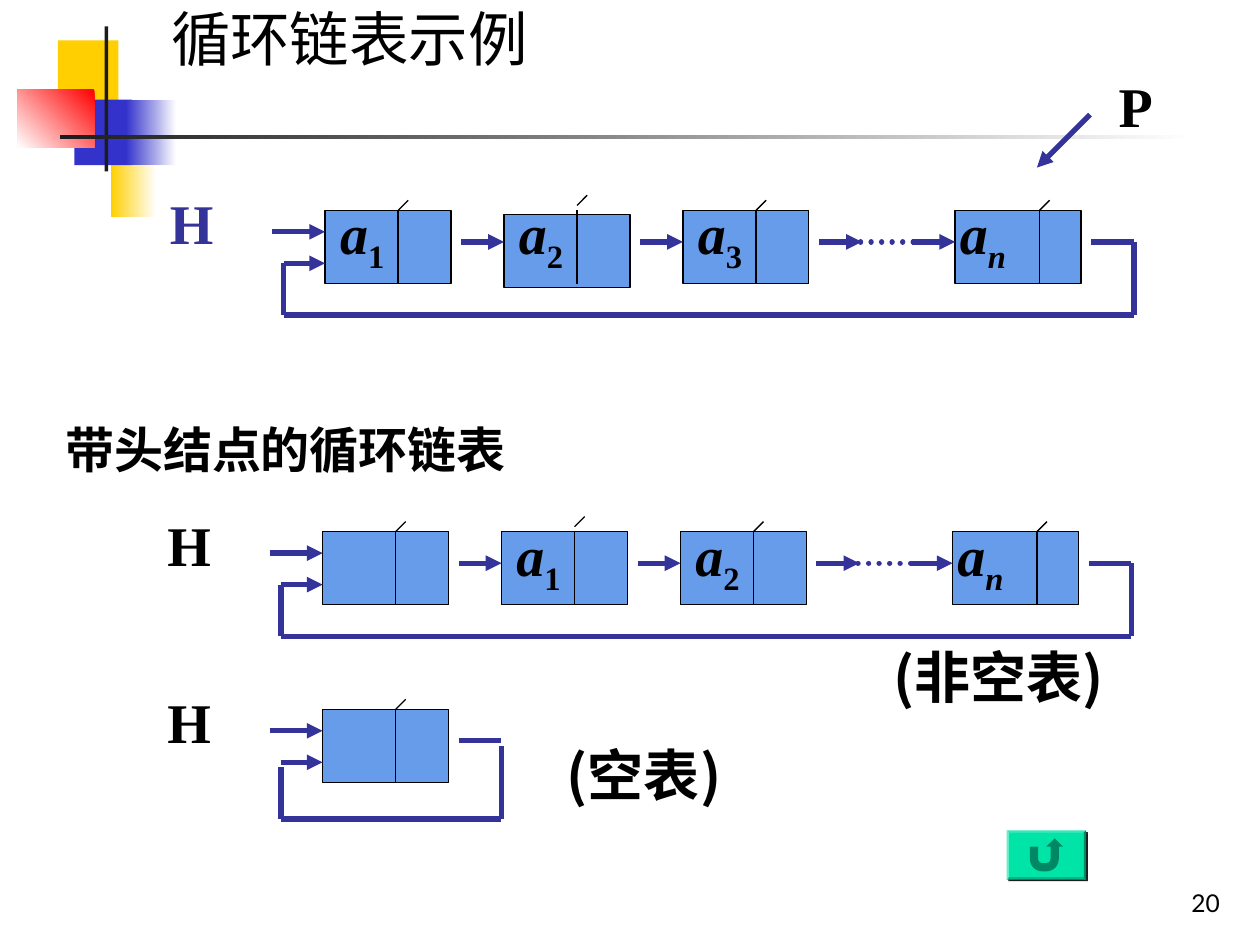
from lxml import etree
from pptx import Presentation
from pptx.dml.color import RGBColor
from pptx.enum.dml import MSO_LINE
from pptx.enum.shapes import MSO_CONNECTOR, MSO_SHAPE
from pptx.enum.text import MSO_ANCHOR, MSO_AUTO_SIZE, PP_ALIGN
from pptx.oxml.ns import qn
from pptx.util import Inches, Pt

RECT = MSO_SHAPE.RECTANGLE
BEVEL = MSO_SHAPE.BEVEL
RETURN_BUTTON = MSO_SHAPE.ACTION_BUTTON_RETURN
STRAIGHT = MSO_CONNECTOR.STRAIGHT
DOTS = MSO_LINE.ROUND_DOT
BOTTOM, TOP = MSO_ANCHOR.BOTTOM, MSO_ANCHOR.TOP
LEFT, RIGHT = PP_ALIGN.LEFT, PP_ALIGN.RIGHT
FIT, FIXED = MSO_AUTO_SIZE.SHAPE_TO_FIT_TEXT, MSO_AUTO_SIZE.NONE

BLACK, INK, ARROW, NODE, GREEN = "000000", "1C1C1C", "333399", "679CEB", "00E4A8"
SERIF, SANS, CJK = "Times New Roman", "Lato", "Noto Sans CJK SC"

DECORATION = [
    ((0.46, 0.32, 0.48, 0.52), ["FFCF01"], 0),
    ((0.88, 1.2, 0.36, 0.52), ["FFFFFF", "FFCF01"], 180),
    ((0.59, 0.79, 0.46, 0.52), ["3333CC"], 0),
    ((1, 0.79, 0.4, 0.52), ["FFFFFF", "3333CC"], 180),
    ((0.14, 0.71, 0.61, 0.46), ["FF0000", "FFFFFF"], 225),
    ((0.83, 0.21, 0.03, 1.15), [INK], 0),
    ((0.48, 1.07, 9, 0.03), ["FFFFFF", INK], 180),
]

BOLD = {"size": Pt(32), "name": SERIF, "bold": True}
CAPTION = {"size": Pt(32), "name": CJK, "bold": True}
TEXTS = [
    ("循环链表示例", (1.26, 0.23, 8.52, 0.4), {"size": Pt(34), "name": SANS}, BOTTOM, LEFT, True),
    ("带头结点的循环链表", (0.42, 3.28, 9, 0.66),
     {"size": Pt(28), "name": SANS, "bold": True}, TOP, LEFT, True),
    ("(空表)", (4.4, 5.83, 1.75, 0.64), CAPTION, TOP, LEFT, False),
    ("(非空表)", (6.99, 5.05, 2.19, 0.64), CAPTION, TOP, LEFT, False),
    ("P", (8.78, 0.52, 0.52, 0.64), BOLD, TOP, LEFT, False),
    ("20", (7.7, 6.83, 2.08, 0.5), {"size": Pt(14), "name": SANS}, BOTTOM, RIGHT, True),
]

LISTS = [
    {"x": 2.58, "y": 1.67, "nodes": ["1", "2", "3", "n"], "head": ARROW, "drop": 0.03, "sag": 0},
    {"x": 2.56, "y": 4.22, "nodes": ["", "1", "2", "n"], "head": BLACK, "drop": 0, "sag": 0},
    {"x": 2.56, "y": 5.63, "nodes": [""], "head": BLACK, "drop": 0, "sag": 0.04},
]
NODE_W, NODE_H, LINK, GAP = 1, 0.58, 0.34, 0.08
LABEL_W, LABEL_H = 0.65, 0.71
PITCH = NODE_W + GAP + LINK
LAST_X = 5
LINK_Y, HEAD_Y, RETURN_Y, LOOP_Y = 0.25, 0.17, 0.42, 0.83
BUTTON, RIM = (7.99, 6.59, 0.63, 0.39), 0.02

prs = Presentation()
prs.slide_width, prs.slide_height = Inches(10), Inches(7.5)
slide = prs.slides.add_slide(prs.slide_layouts[6])


def rgb(value):
    return RGBColor.from_string(value)


def add_block(kind, box, colors, angle=0, outline=None):
    block = slide.shapes.add_shape(kind, *map(Inches, box))
    block.shadow.inherit = False
    if len(colors) == 1:
        block.fill.solid()
        block.fill.fore_color.rgb = rgb(colors[0])
    else:
        block.fill.gradient()
        block.fill.gradient_angle = angle
        for stop, color, position in zip(block.fill.gradient_stops, colors, (0, 1)):
            stop.color.rgb = rgb(color)
            stop.position = position
    if outline:
        block.line.color.rgb = rgb(outline)
        block.line.width = Pt(0.75)
    else:
        block.line.fill.background()
    return block


def add_line(x1, y1, x2, y2, color=ARROW, width=3, arrow=False, dotted=False):
    line = slide.shapes.add_connector(STRAIGHT, *map(Inches, (x1, y1, x2, y2)))
    line.line.color.rgb = rgb(color)
    line.line.width = Pt(width)
    stroke = line.line._get_or_add_ln()
    if dotted:
        line.line.dash_style = DOTS
        stroke.set("cap", "rnd")
    if arrow:
        etree.SubElement(stroke, qn("a:tailEnd"), type="triangle")
    etree.SubElement(line._element.spPr, qn("a:effectLst"))


def add_run(paragraph, text, style, color):
    run = paragraph.add_run()
    run.text = text
    for key, value in style.items():
        setattr(run.font, key, value)
    run.font.color.rgb = rgb(color)
    properties = run._r.get_or_add_rPr()
    etree.SubElement(properties, qn("a:ea"), typeface=CJK)
    return properties


def add_text(text, box, style, anchor=TOP, align=LEFT, wrap=False, color=BLACK):
    frame = slide.shapes.add_textbox(*map(Inches, box)).text_frame
    frame.word_wrap = wrap
    frame.auto_size = FIXED if wrap else FIT
    frame.vertical_anchor = anchor
    paragraph = frame.paragraphs[0]
    paragraph.alignment = align
    add_run(paragraph, text, style, color)
    return paragraph


def add_node(x, y, index, label, drop):
    last = label == "n"
    second = index == 1
    split = x + (0.67 if last else 0.58)
    tick_y = y - (0.04 if second else 0)
    add_block(RECT, (x, y + (drop if second else 0), NODE_W, NODE_H), [NODE], outline=BLACK)
    add_line(split, y, split, y + NODE_H, BLACK, 0.75)
    add_line(split, tick_y, split + 0.08, tick_y - 0.08, BLACK, 0.75)
    if label:
        text_x = x + (-0.06 if last else 0.02)
        paragraph = add_text("a", (text_x, y - 0.14, LABEL_W, LABEL_H), {**BOLD, "italic": True})
        add_run(paragraph, label, {**BOLD, "italic": last}, BLACK).set("baseline", "-25000")


def add_list(x, y, nodes, head, drop, sag):
    offsets = [LAST_X if label == "n" else i * PITCH for i, label in enumerate(nodes)]
    link_y = y + LINK_Y
    for i, (offset, label) in enumerate(zip(offsets, nodes)):
        add_node(x + offset, y, i, label, drop)
    for offset in offsets[:-1]:
        start = x + offset + NODE_W + GAP
        add_line(start, link_y, start + LINK, link_y, arrow=True)
    if len(nodes) > 1:
        add_line(x + 4.25, link_y, x + 4.75, link_y, dotted=True)
        add_line(x + LAST_X - LINK, link_y, x + LAST_X, link_y, arrow=True)

    exit_x = x + offsets[-1] + NODE_W + GAP
    left, right, bottom = x - 0.33, exit_x + LINK, y + LOOP_Y + sag
    add_line(exit_x, link_y, right, link_y)
    add_line(right, link_y + sag, right, bottom)
    add_line(left, bottom, right, bottom)
    add_line(left, y + RETURN_Y + sag, left, bottom)
    add_line(left, y + RETURN_Y, x, y + RETURN_Y, arrow=True)
    add_line(x - 0.42, y + HEAD_Y, x, y + HEAD_Y, arrow=True)
    add_text("H", (x - 1.33, y - 0.22, 0.54, 0.64), BOLD, color=head)


def add_button(left, top, width, height):
    rim = add_block(BEVEL, (left, top, width, height), [GREEN])
    rim.adjustments[0] = RIM / height
    effects = rim._element.spPr.find(qn("a:effectLst"))
    shadow = etree.SubElement(effects, qn("a:outerShdw"), dist=str(Pt(1.4)), dir="2700000")
    etree.SubElement(shadow, qn("a:srgbClr"), val=INK)
    face = (left + RIM, top + RIM, width - 2 * RIM, height - 2 * RIM)
    add_block(RETURN_BUTTON, face, [GREEN])


for box, colors, angle in DECORATION:
    add_block(RECT, box, colors, angle)
for circular_list in LISTS:
    add_list(**circular_list)
for item in TEXTS:
    add_text(*item)
add_line(8.65, 0.91, 8.23, 1.33, arrow=True)
add_button(*BUTTON)

prs.save("out.pptx")
